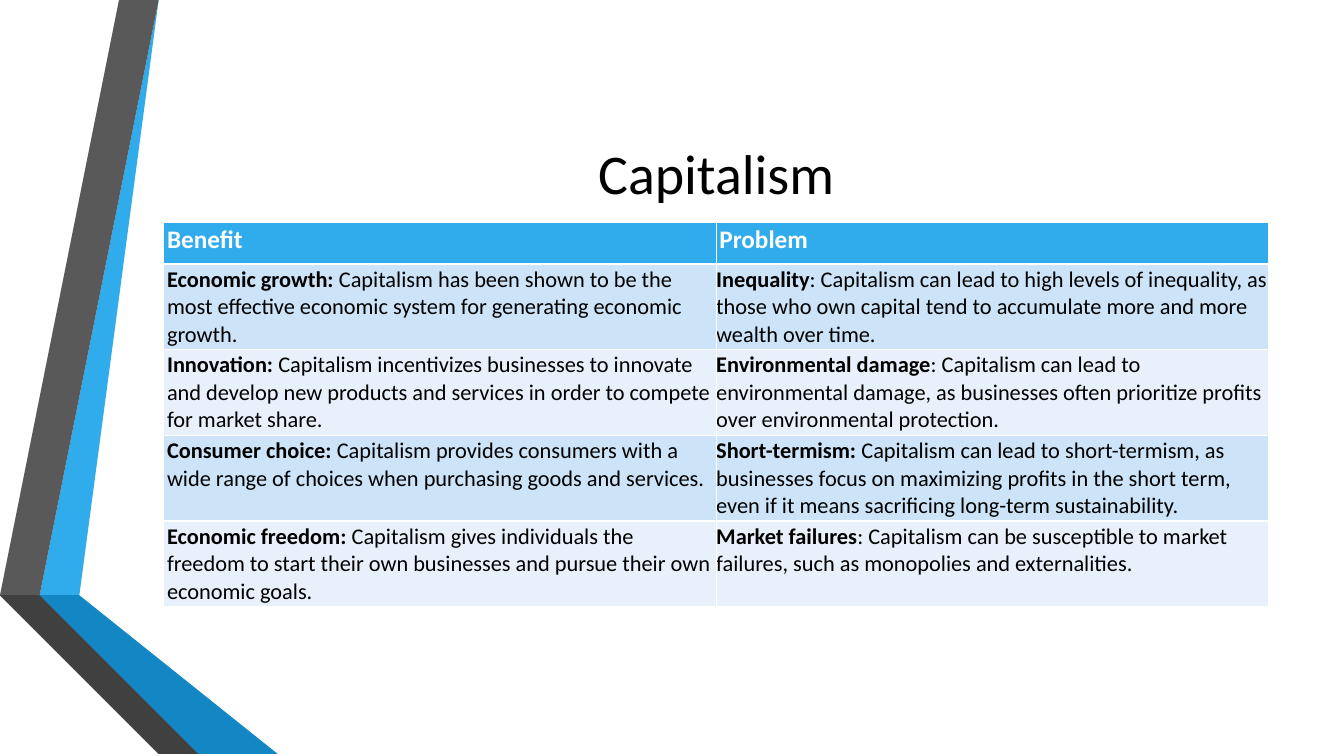
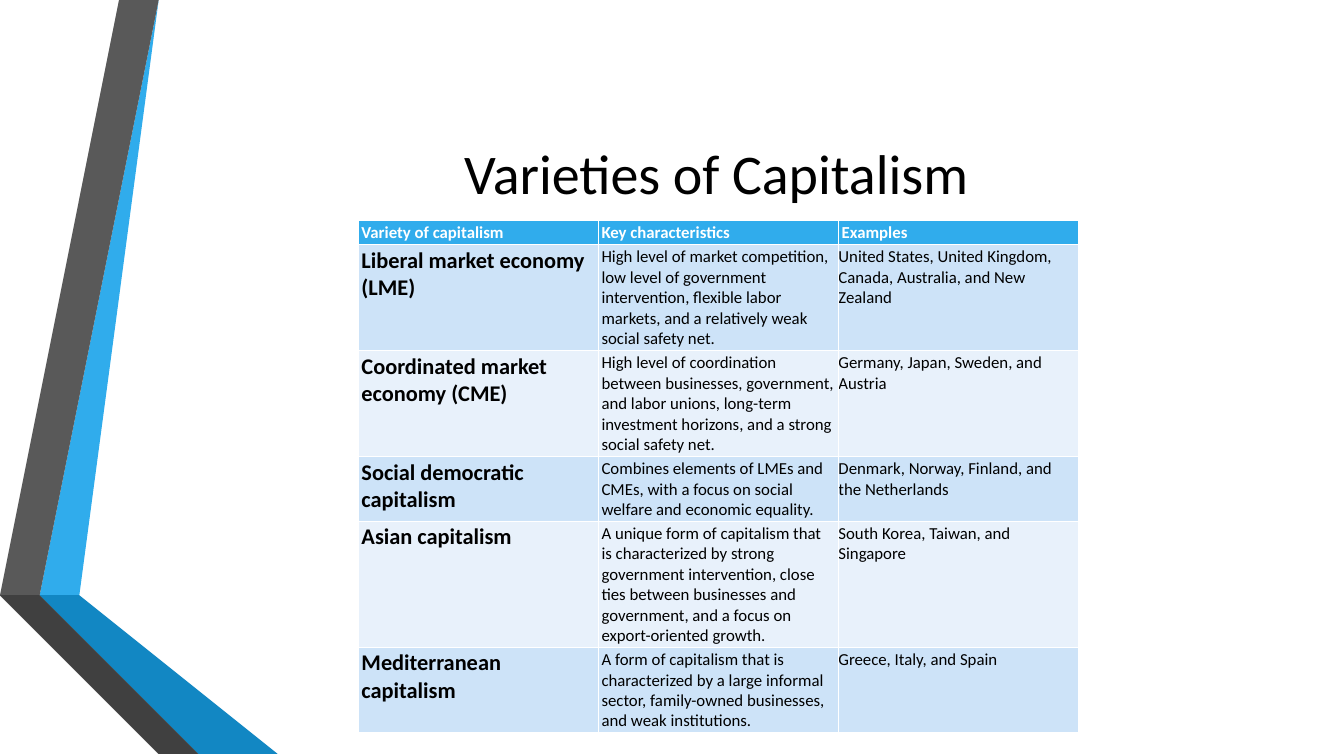
import pptx
import pptx.dml.color
import pptx.enum.text
import pptx.util

Cm = pptx.util.Cm
Pt = pptx.util.Pt
RGBColor = pptx.dml.color.RGBColor

FONT = "Calibri"
BLACK = RGBColor(0x00, 0x00, 0x00)
WHITE = RGBColor(0xFF, 0xFF, 0xFF)
SKY = RGBColor(0x30, 0xAC, 0xEC)
BLUE = RGBColor(0x12, 0x87, 0xC3)
NAVY = RGBColor(0x0C, 0x5A, 0x82)
GREY = RGBColor(0x59, 0x59, 0x59)
CHARCOAL = RGBColor(0x40, 0x40, 0x40)
SOOT = RGBColor(0x26, 0x26, 0x26)
BANDS = [RGBColor(0xCD, 0xE3, 0xF8), RGBColor(0xE8, 0xF1, 0xFB)]

RIBBONS = [
    (SKY, [(1.27, 14.68), (1.96, 14.81), (4.39, 0), (3.68, 0)]),
    (GREY, [(3.53, 0), (2.82, 0), (0.41, 14.55), (1.12, 14.66)]),
    (SOOT, [(0.41, 14.55), (3.68, 19.05), (3.84, 19.05)]),
    (NAVY, [(1.27, 14.71), (5.28, 19.05), (5.44, 19.05)]),
    (BLUE, [(1.27, 14.68), (5.44, 19.05), (7.19, 19.05), (1.96, 14.81)]),
    (CHARCOAL, [(5.13, 19.05), (1.22, 14.81), (1.09, 14.68), (1.12, 14.66),
                (0.41, 14.55), (3.84, 19.05)]),
]

PAGES = [
    {
        "title": "Capitalism",
        "left": 4.13, "top": 5.61, "column": 13.92,
        "heights": [1.04, 2.16, 2.16, 2.16, 2.16],
        "header_size": 18, "body_size": 16,
        "header": ["Benefit", "Problem"],
        "rows": [
            [("Economic growth: ", "Capitalism has been shown to be the most effective economic system for generating economic growth."),
             ("Inequality", ": Capitalism can lead to high levels of inequality, as those who own capital tend to accumulate more and more wealth over time.")],
            [("Innovation: ", "Capitalism incentivizes businesses to innovate and develop new products and services in order to compete for market share."),
             ("Environmental damage", ": Capitalism can lead to environmental damage, as businesses often prioritize profits over environmental protection.")],
            [("Consumer choice: ", "Capitalism provides consumers with a wide range of choices when purchasing goods and services."),
             ("Short-termism: ", "Capitalism can lead to short-termism, as businesses focus on maximizing profits in the short term, even if it means sacrificing long-term sustainability.")],
            [("Economic freedom: ", "Capitalism gives individuals the freedom to start their own businesses and pursue their own economic goals."),
             ("Market failures", ": Capitalism can be susceptible to market failures, such as monopolies and externalities.")],
        ],
    },
    {
        "title": "Varieties of Capitalism",
        "left": 9.03, "top": 5.56, "column": 6.05,
        "heights": [0.6, 2.67, 2.67, 1.63, 3.18, 2.13],
        "header_size": 12, "body_size": 12,
        "header": ["Variety of capitalism", "Key characteristics", "Examples"],
        "rows": [
            [("Liberal market economy (LME)", ""),
             ("", "High level of market competition, low level of government intervention, flexible labor markets, and a relatively weak social safety net."),
             ("", "United States, United Kingdom, Canada, Australia, and New Zealand")],
            [("Coordinated market economy (CME)", ""),
             ("", "High level of coordination between businesses, government, and labor unions, long-term investment horizons, and a strong social safety net."),
             ("", "Germany, Japan, Sweden, and Austria")],
            [("Social democratic capitalism", ""),
             ("", "Combines elements of LMEs and CMEs, with a focus on social welfare and economic equality."),
             ("", "Denmark, Norway, Finland, and the Netherlands")],
            [("Asian capitalism", ""),
             ("", "A unique form of capitalism that is characterized by strong government intervention, close ties between businesses and government, and a focus on export-oriented growth."),
             ("", "South Korea, Taiwan, and Singapore")],
            [("Mediterranean capitalism", ""),
             ("", "A form of capitalism that is characterized by a large informal sector, family-owned businesses, and weak institutions."),
             ("", "Greece, Italy, and Spain")],
        ],
    },
]


def start_page(deck, title):
    page = deck.slides.add_slide(deck.slide_layouts[6])
    for color, points in RIBBONS:
        builder = page.shapes.build_freeform(*points[0], scale=float(Cm(1)))
        builder.add_line_segments(points[1:], close=True)
        ribbon = builder.convert_to_shape()
        ribbon.shadow.inherit = False
        ribbon.fill.solid()
        ribbon.fill.fore_color.rgb = color
        ribbon.line.fill.background()
    box = page.shapes.add_textbox(Cm(4.13), Cm(1.9), Cm(27.84), Cm(4.88))
    box.text_frame.word_wrap = True
    box.text_frame.vertical_anchor = pptx.enum.text.MSO_ANCHOR.MIDDLE
    para = box.text_frame.paragraphs[0]
    para.text = title
    para.alignment = pptx.enum.text.PP_ALIGN.CENTER
    para.font.name = FONT
    para.font.size = Pt(40)
    para.font.color.rgb = BLACK
    return page


def fill_cell(cell, spans, fill, color, side):
    cell.fill.solid()
    cell.fill.fore_color.rgb = fill
    cell.margin_left = cell.margin_right = Cm(side)
    cell.margin_top = cell.margin_bottom = Cm(0.05)
    para = cell.text_frame.paragraphs[0]
    para.font.name = FONT
    para.font.color.rgb = color
    for text, size, bold in spans:
        if text:
            span = para.add_run()
            span.text = text
            span.font.size = Pt(size)
            span.font.bold = bold


deck = pptx.Presentation()
deck.slide_width = Cm(33.87)
deck.slide_height = Cm(19.05)

for content in PAGES:
    page = start_page(deck, content["title"])
    heights = content["heights"]
    count = len(content["header"])
    table = page.shapes.add_table(
        len(heights), count, Cm(content["left"]), Cm(content["top"]),
        Cm(content["column"] * count), Cm(sum(heights))).table
    for column in table.columns:
        column.width = Cm(content["column"])
    for row, height in zip(table.rows, heights):
        row.height = Cm(height)
    for index, label in enumerate(content["header"]):
        fill_cell(table.cell(0, index), [(label, content["header_size"], True)], SKY, WHITE, 0.08)
    for number, row in enumerate(content["rows"]):
        for index, (lead, detail) in enumerate(row):
            side = 0 if index == count - 1 else 0.08
            spans = [(lead, 16, True), (detail, content["body_size"], False)]
            fill_cell(table.cell(number + 1, index), spans, BANDS[number % 2], BLACK, side)

deck.save("out.pptx")
